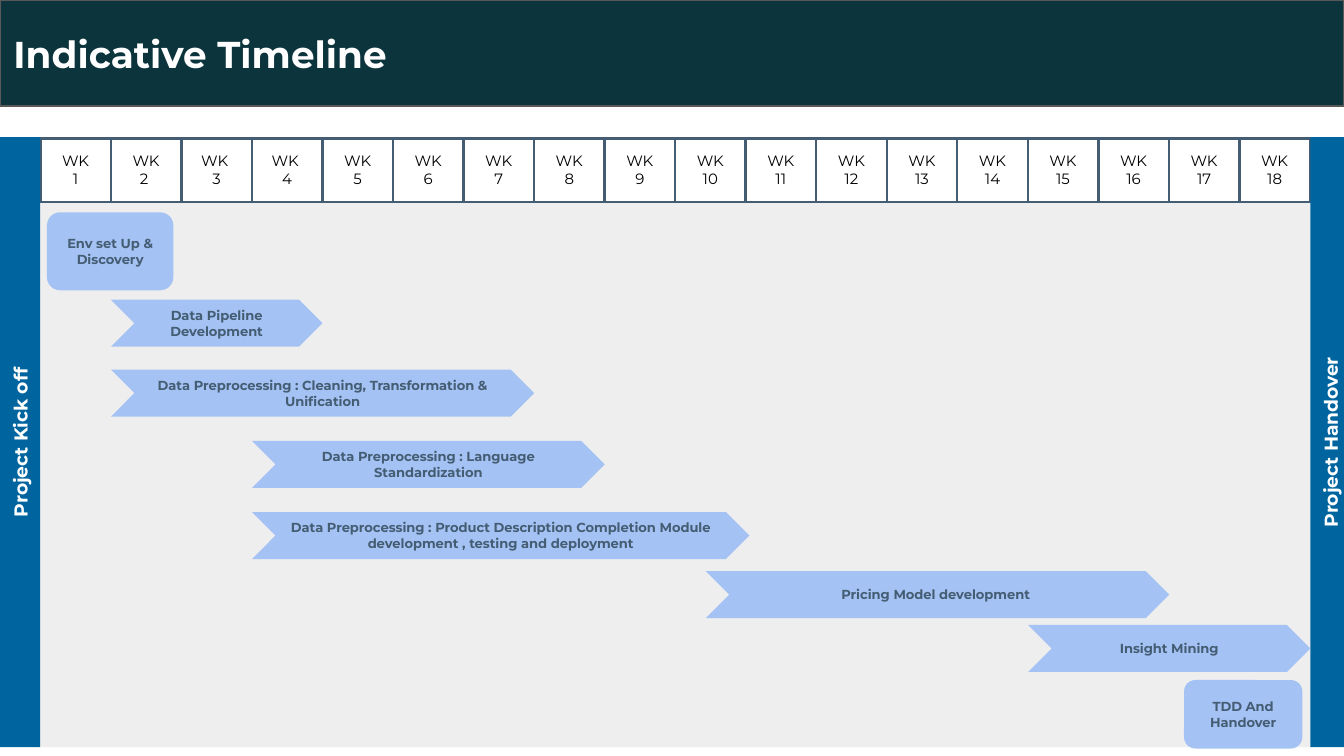
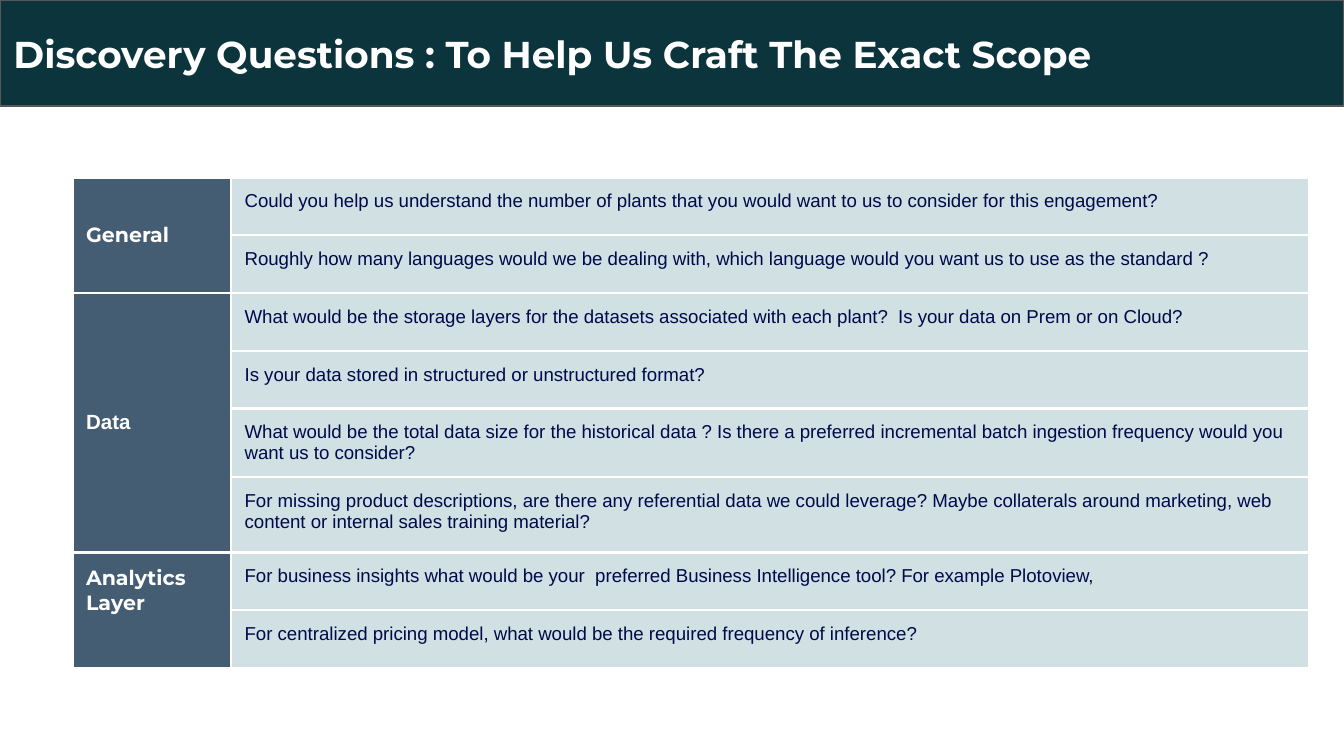
from lxml import etree
from pptx import Presentation
from pptx.dml.color import RGBColor
from pptx.enum.shapes import MSO_SHAPE
from pptx.enum.text import MSO_ANCHOR, MSO_AUTO_SIZE, PP_ALIGN
from pptx.oxml.ns import qn
from pptx.util import Inches, Pt

RECTANGLE = MSO_SHAPE.RECTANGLE
ROUNDED = MSO_SHAPE.ROUNDED_RECTANGLE
CHEVRON = MSO_SHAPE.CHEVRON
LEFT, CENTER = PP_ALIGN.LEFT, PP_ALIGN.CENTER
TOP, MIDDLE = MSO_ANCHOR.TOP, MSO_ANCHOR.MIDDLE
NO_FIT = MSO_AUTO_SIZE.NONE

WHITE = RGBColor(0xFF, 0xFF, 0xFF)
BLACK = RGBColor(0x00, 0x00, 0x00)
BAND = RGBColor(0x0C, 0x34, 0x3D)
BAND_LINE = RGBColor(0x59, 0x59, 0x59)
PANEL = RGBColor(0xEE, 0xEE, 0xEE)
MILESTONE = RGBColor(0x00, 0x64, 0x9F)
TASK = RGBColor(0xA4, 0xC2, 0xF4)
SLATE = RGBColor(0x44, 0x5D, 0x73)
QUESTION = RGBColor(0xD0, 0xE0, 0xE3)
NAVY = RGBColor(0x00, 0x09, 0x4A)
HEADING_FONT, BODY_FONT = "Montserrat", "Arial"
INSET = Inches(0.1)
SLIDE_WIDTH = Inches(10)
SLIDE_HEIGHT = SLIDE_WIDTH * 9 // 16

WEEKS, CHART_LEFT, CHART_WIDTH = 18, 0.3, 9.45
WEEK_WIDTH = CHART_WIDTH / WEEKS
LINE_BREAK_WEEKS = {2: "WK\v2 ", 3: "WK \v3", 4: "WK \v4", 6: "WK\v6"}
TASK_HEIGHT = 0.35
TASKS = [
    ("Data Pipeline Development", 1, 3, 2.23),
    ("Data Preprocessing : Cleaning, Transformation & Unification", 1, 6, 2.75),
    ("Data Preprocessing : Language Standardization", 3, 5, 3.28),
    ("Data Preprocessing : Product Description Completion Module "
     "development , testing and deployment", 3, 7.05, 3.81),
    ("Pricing Model development ", 9.43, 6.57, 4.25),
    ("Insight Mining", 14, 4, 4.65),
]
QUESTION_GROUPS = [
    ("General", HEADING_FONT, MIDDLE, [
        "Could you help us understand the number of plants that you would want "
        "to us to consider for this engagement?",
        "Roughly how many languages would we be dealing with, which language "
        "would you want us to use as the standard ?",
    ]),
    ("Data", BODY_FONT, MIDDLE, [
        "What would be the storage layers for the datasets associated with each "
        "plant?  Is your data on Prem or on Cloud?",
        "Is your data stored in structured or unstructured format?",
        "What would be the total data size for the historical data ? Is there a "
        "preferred incremental batch ingestion frequency would you want us to consider?",
        "For missing product descriptions, are there any referential data we could "
        "leverage? Maybe collaterals around marketing, web content or internal "
        "sales training material?",
    ]),
    ("Analytics Layer", HEADING_FONT, TOP, [
        "For business insights what would be your  preferred Business Intelligence "
        "tool? For example Plotoview,",
        "For centralized pricing model, what would be the required frequency of inference?",
    ]),
]
QUESTION_ROWS = [0.43] * 5 + [0.56] + [0.43] * 2


def write_text(frame, text, size=10, color=WHITE, font=HEADING_FONT, bold=False,
               align=LEFT, space_after=0):
    """Write one paragraph per line of text in a single format."""
    for number, line in enumerate(text.split("\n")):
        paragraph = frame.add_paragraph() if number else frame.paragraphs[0]
        paragraph.text = line
        paragraph.alignment = align
        paragraph.space_after = Pt(space_after)
        paragraph.font.name = font
        paragraph.font.size = Pt(size)
        paragraph.font.bold = bold
        paragraph.font.color.rgb = color


class Deck:
    """Holds the shared style and the current slide."""

    def __init__(self):
        """Start an empty widescreen presentation."""
        self.presentation = Presentation()
        self.presentation.slide_width = SLIDE_WIDTH
        self.presentation.slide_height = SLIDE_HEIGHT
        self.slide = None

    def prepare_frame(self, frame):
        """Give a shape's text frame the common insets and anchor."""
        frame.margin_left = frame.margin_right = INSET
        frame.margin_top = frame.margin_bottom = INSET
        frame.vertical_anchor = MIDDLE
        frame.word_wrap = True
        frame.auto_size = NO_FIT

    def add_slide(self, title):
        """Add a slide whose title placeholder is the dark band."""
        self.slide = self.presentation.slides.add_slide(
            self.presentation.slide_layouts[5])
        band = self.slide.shapes.title
        band.left, band.top = Inches(0), Inches(0)
        band.width, band.height = SLIDE_WIDTH, Inches(0.79)
        band.fill.solid()
        band.fill.fore_color.rgb = BAND
        band.line.color.rgb = BAND_LINE
        band.line.width = Pt(0.75)
        self.prepare_frame(band.text_frame)
        write_text(band.text_frame, title, size=20, bold=True)

    def add_box(self, kind, left, top, width, height, fill, text="", rotation=0,
                **text_format):
        """Add a filled shape with optional centred bold text."""
        shape = self.slide.shapes.add_shape(
            kind, Inches(left), Inches(top), Inches(width), Inches(height))
        shape.shadow.inherit = False
        shape.rotation = rotation
        shape.fill.solid()
        shape.fill.fore_color.rgb = fill
        shape.line.fill.background()
        if text:
            self.prepare_frame(shape.text_frame)
            write_text(shape.text_frame, text, bold=True, align=CENTER, **text_format)

    def add_task(self, kind, left, top, width, height, text):
        """Add a timeline activity."""
        self.add_box(kind, left, top, width, height, TASK, text, size=7, color=SLATE)

    def add_table(self, left, top, columns, rows, border):
        """Add a plain table with uniform borders and return it."""
        table = self.slide.shapes.add_table(
            len(rows), len(columns), Inches(left), Inches(top),
            Inches(sum(columns)), Inches(sum(rows))).table
        table.first_row = table.horz_banding = False
        for column, width in zip(table.columns, columns):
            column.width = Inches(width)
        for row, height in zip(table.rows, rows):
            row.height = Inches(height)
        for cell in table.iter_cells():
            self.add_borders(cell, border)
        return table

    def add_borders(self, cell, color):
        """Draw the four borders of a cell."""
        properties = cell._tc.get_or_add_tcPr()
        for side in ("lnL", "lnR", "lnT", "lnB"):
            line = etree.SubElement(properties, qn(f"a:{side}"), w=str(Pt(1.5)))
            fill = etree.SubElement(line, qn("a:solidFill"))
            etree.SubElement(fill, qn("a:srgbClr"), val=str(color))

    def fill_cell(self, cell, text, fill, anchor=MIDDLE, **text_format):
        """Fill a cell and write its text."""
        cell.fill.solid()
        cell.fill.fore_color.rgb = fill
        cell.margin_left = cell.margin_right = INSET
        cell.margin_top = cell.margin_bottom = INSET
        cell.vertical_anchor = anchor
        write_text(cell.text_frame, text, **text_format)


def build_timeline(deck):
    """Build the week-by-week timeline."""
    deck.add_slide("Indicative Timeline")
    deck.add_box(RECTANGLE, 0.29, 1.41, 9.46, 4.15, PANEL)
    weeks = deck.add_table(CHART_LEFT, 1.03, [WEEK_WIDTH] * WEEKS, [0.41], SLATE)
    for number, cell in enumerate(weeks.iter_cells(), 1):
        label = LINE_BREAK_WEEKS.get(number, f"WK\n{number}")
        deck.fill_cell(cell, label, WHITE, size=8, color=BLACK, align=CENTER)
    for left, text in ((-2.12, "Project Kick off"), (7.63, "Project Handover")):
        deck.add_box(RECTANGLE, left, 3.14, 4.54, 0.3, MILESTONE, text, rotation=270)
    deck.add_task(ROUNDED, 0.35, 1.58, 0.94, 0.58, "Env set Up & Discovery")
    for text, start, duration, top in TASKS:
        deck.add_task(CHEVRON, CHART_LEFT + start * WEEK_WIDTH, top,
                      duration * WEEK_WIDTH, TASK_HEIGHT, text)
    deck.add_task(ROUNDED, 8.81, 5.06, 0.88, 0.51, "TDD And Handover")


def build_questions(deck):
    """Build the table of discovery questions."""
    deck.add_slide("Discovery Questions : To Help Us Craft The Exact Scope")
    table = deck.add_table(0.54, 1.32, [1.18, 8.02], QUESTION_ROWS, WHITE)
    row = 0
    for topic, font, anchor, questions in QUESTION_GROUPS:
        topic_cell = table.cell(row, 0)
        topic_cell.merge(table.cell(row + len(questions) - 1, 0))
        deck.fill_cell(topic_cell, topic, SLATE, anchor, size=11, font=font, bold=True)
        for question in questions:
            deck.fill_cell(table.cell(row, 1), question, QUESTION, TOP,
                           color=NAVY, font=BODY_FONT,
                           space_after=0 if "referential" in question else 16)
            row += 1


def main():
    """Build both slides and save them."""
    deck = Deck()
    build_timeline(deck)
    build_questions(deck)
    deck.presentation.save("out.pptx")


if __name__ == "__main__":
    main()
